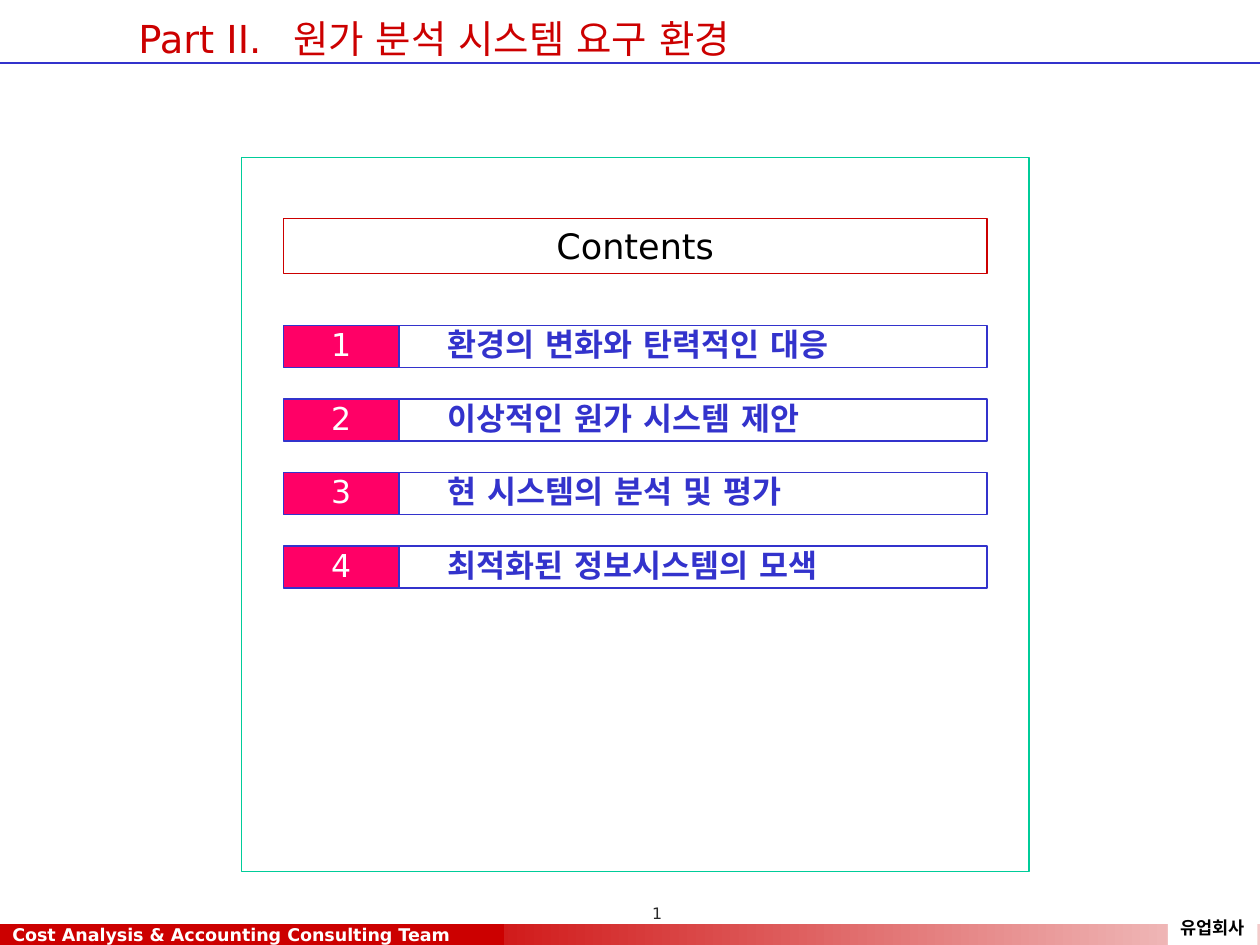
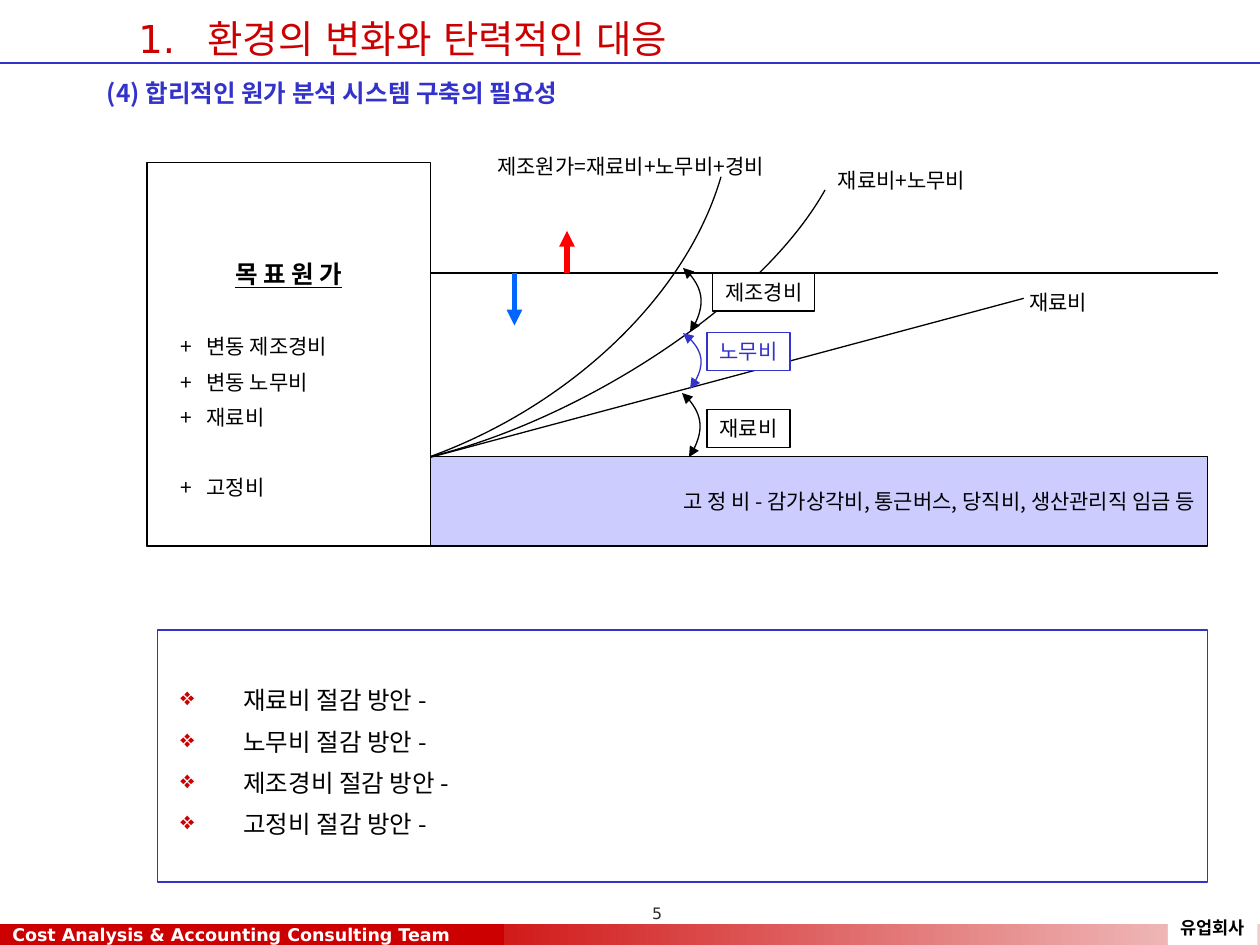
"""Build the contents slide and the target-cost slide of a cost analysis deck."""
from dataclasses import dataclass

from lxml.etree import SubElement
from pptx import Presentation
from pptx.dml.color import RGBColor
from pptx.enum.shapes import MSO_CONNECTOR as Connector, MSO_SHAPE as Preset
from pptx.enum.text import MSO_ANCHOR as Anchor, PP_ALIGN as Align
from pptx.oxml.ns import qn
from pptx.util import Pt


@dataclass(frozen=True)
class Theme:
    red: str = "CC0000"
    blush: str = "F3CBCB"
    blue: str = "3333CC"
    lilac: str = "CCCCFF"
    pink: str = "FF0066"
    green: str = "00CC99"
    sky: str = "0066FF"
    alert: str = "FF0000"
    black: str = "000000"
    white: str = "FFFFFF"
    grey: str = "292929"
    latin: str = "DejaVu Sans"
    korean: str = "Noto Sans CJK KR"
    title: int = 22
    banner: int = 20
    entry: int = 18
    heading: int = 14
    label: int = 12
    footer: int = 10
    number: int = 9
    hairline: float = 0.75


THEME = Theme()
WIDTH, HEIGHT = 720, 540

TEAM = "Cost Analysis & Accounting Consulting Team"
CLIENT = "유업회사"

CONTENTS = {
    "title": ("Part II.", "원가 분석 시스템 요구 환경", 88.5),
    "number": "1",
    "banner": "Contents",
    "entries": [
        "환경의 변화와 탄력적인 대응",
        "이상적인 원가 시스템 제안",
        "현 시스템의 분석 및 평가",
        "최적화된 정보시스템의 모색",
    ],
}

COSTS = {
    "title": ("1.", "환경의 변화와 탄력적인 대응", 39.5),
    "number": "5",
    "subtitle": "(4) 합리적인 원가 분석 시스템 구축의 필요성",
    "target": "목 표 원 가",
    "parts": [("변동 제조경비", 20), ("변동 노무비", 0), ("재료비", 0), ("고정비", 20)],
    "fixed": "고 정 비 - 감가상각비, 통근버스, 당직비, 생산관리직 임금 등",
    "measures": [f"{cost} 절감 방안 -" for cost in ("재료비", "노무비", "제조경비", "고정비")],
}

TOTAL_CURVE = [(245.7, 261), (323, 233), (391.5, 171.5), (412, 101)]
LABOUR_CURVE = [(245.7, 261), (331.5, 240), (434.5, 174.5), (471.5, 108.5)]
ARC = [(0, 0), (11.4, 8.6), (12.6, 25.1), (4, 36.6)]

LINE_LABELS = [
    ("제조원가=재료비+노무비+경비", (268.5, 84.2, 183.6, 21.6)),
    ("재료비", (581, 162, 47.5, 21.6)),
    ("재료비+노무비", (468.7, 92.2, 92.9, 21.6)),
]

SPANS = [
    ("재료비", (404, 234, 47.5, 21.6), (389.7, 224.6), 1, THEME.black),
    ("노무비", (404, 190, 47.5, 21.6), (390.3, 190.3), 0.87, THEME.blue),
    ("제조경비", (407.3, 156.2, 58.3, 21.6), (390.3, 153.1), 1, THEME.black),
]


def rgb(colour):
    return RGBColor.from_string(colour)


def add_box(page, place, fill=None, line=None, width=THEME.hairline, preset=Preset.RECTANGLE):
    box = page.shapes.add_shape(preset, *map(Pt, place))
    box.shadow.inherit = False
    if fill:
        box.fill.solid()
        box.fill.fore_color.rgb = rgb(fill)
    else:
        box.fill.background()
    if line:
        box.line.color.rgb = rgb(line)
        box.line.width = Pt(width)
    else:
        box.line.fill.background()
    return box


def add_label(page, place):
    return page.shapes.add_textbox(*map(Pt, place))


def set_frame(box, anchor=Anchor.TOP, left=7.2, right=7.2, wrap=True):
    frame = box.text_frame
    frame.word_wrap = wrap
    frame.vertical_anchor = anchor
    frame.margin_left, frame.margin_right = Pt(left), Pt(right)
    frame.margin_top = frame.margin_bottom = Pt(3.6)
    return frame


def set_tab(para, position):
    stops = SubElement(para._p.get_or_add_pPr(), qn("a:tabLst"))
    SubElement(stops, qn("a:tab"), pos=str(Pt(position)), algn="l")


def set_indent(para, indent):
    props = para._p.get_or_add_pPr()
    props.set("marL", str(Pt(indent)))
    props.set("indent", str(-Pt(indent)))


def set_bullet(para, mark, colour):
    props = para._p.get_or_add_pPr()
    SubElement(SubElement(props, qn("a:buClr")), qn("a:srgbClr"), val=colour)
    SubElement(props, qn("a:buChar"), char=mark)


def write(para, text, size, colour=THEME.black, face=THEME.korean, bold=False,
          align=Align.LEFT, spacing=None, underline=False):
    para.alignment = align
    if spacing:
        para.line_spacing = spacing
    span = para.add_run()
    span.text = text
    font = span.font
    font.size, font.bold, font.underline = Pt(size), bold, underline
    font.name = face
    font.color.rgb = rgb(colour)
    SubElement(span._r.get_or_add_rPr(), qn("a:ea"), typeface=face)


def fill_text(box, text, size, anchor=Anchor.TOP, left=7.2, right=7.2, wrap=True, **style):
    para = set_frame(box, anchor, left, right, wrap).paragraphs[0]
    write(para, text, size, **style)
    return para


def add_arrowheads(shape, *ends):
    line = shape.line._get_or_add_ln()
    for end in ends:
        SubElement(line, qn(f"a:{end}"), type="triangle")


def add_line(page, start, end, colour, width=THEME.hairline):
    line = page.shapes.add_connector(Connector.STRAIGHT, *map(Pt, start + end))
    line.line.color.rgb = rgb(colour)
    line.line.width = Pt(width)
    SubElement(line._element.spPr, qn("a:effectLst"))
    return line


def add_curve(page, points, colour):
    first, *others = [(Pt(x), Pt(y)) for x, y in points]
    builder = page.shapes.build_freeform(*first)
    builder.add_line_segments(others, close=False)
    curve = builder.convert_to_shape()
    segments = list(curve._element.iter(qn("a:lnTo")))
    outline = segments[0].getparent()
    bezier = SubElement(outline, qn("a:cubicBezTo"))
    for segment in segments:
        bezier.append(segment[0])
        outline.remove(segment)
    curve.shadow.inherit = False
    curve.fill.background()
    curve.line.color.rgb = rgb(colour)
    curve.line.width = Pt(THEME.hairline)
    return curve


def add_page(deck, content):
    page = deck.slides.add_slide(deck.slide_layouts[6])
    fade = add_box(page, (222, 528, 498, 12), THEME.red)
    fade.fill.gradient()
    fade.fill.gradient_angle = 180
    for stop, colour in zip(fade.fill.gradient_stops, (THEME.blush, THEME.red)):
        stop.color.rgb = rgb(colour)
    add_line(page, (0, 36), (WIDTH, 36), THEME.blue)
    fill_text(add_box(page, (0, 528, 288, 12), THEME.red), TEAM, THEME.footer, Anchor.MIDDLE,
              colour=THEME.white, face=THEME.latin, bold=True)
    fill_text(add_box(page, (667.4, 520.6, 51.1, 19.4), THEME.white), CLIENT, THEME.footer,
              wrap=False, bold=True, align=Align.CENTER)
    lead, name, stop = content["title"]
    title = set_frame(add_label(page, (72, 0, 558, 36)), Anchor.MIDDLE).paragraphs[0]
    set_tab(title, stop)
    write(title, f"{lead}\t{name}", THEME.title, THEME.red, THEME.latin, spacing=1.3)
    fill_text(add_label(page, (318, 512.6, 108, 18)), content["number"], THEME.number, right=0,
              colour=THEME.grey, face=THEME.latin, align=Align.CENTER)
    return page


def add_contents(deck):
    page = add_page(deck, CONTENTS)
    left, top, step, height, number_width, entry_width = 162, 186, 42, 24, 66, 336
    for index, entry in enumerate(CONTENTS["entries"]):
        row = top + index * step
        cells = [
            (left + number_width, entry_width, THEME.white, entry, THEME.blue, 28, Align.LEFT),
            (left, number_width, THEME.pink, str(index + 1), THEME.white, 7.2, Align.CENTER),
        ]
        for x, width, fill, text, colour, inset, align in cells:
            box = add_box(page, (x, row, width, height), fill, THEME.blue, 1,
                          Preset.ROUNDED_RECTANGLE)
            box.adjustments[0] = 0
            fill_text(box, text, THEME.entry, Anchor.MIDDLE, left=inset, colour=colour,
                      face=THEME.latin, bold=text == entry, align=align, spacing=0.9)
    fill_text(add_box(page, (left, 124.7, number_width + entry_width, 31.5), line=THEME.red),
              CONTENTS["banner"], THEME.banner, face=THEME.latin, align=Align.CENTER)
    add_box(page, (138, 90, 450, 408), line=THEME.green)


def add_measures(page):
    frame = set_frame(add_box(page, (90, 360, 600, 144), THEME.white, THEME.blue),
                      Anchor.MIDDLE, 13, 13)
    for index, measure in enumerate(COSTS["measures"]):
        para = frame.add_paragraph() if index else frame.paragraphs[0]
        set_indent(para, 36)
        set_bullet(para, "❖", THEME.red)
        write(para, measure, THEME.heading, align=Align.JUSTIFY, spacing=1.4)


def add_target(page):
    frame = set_frame(add_label(page, (96, 138, 138, 172)))
    write(frame.paragraphs[0], COSTS["target"], THEME.heading, bold=True, underline=True,
          align=Align.CENTER, spacing=1.4)
    for part, gap in COSTS["parts"]:
        para = frame.add_paragraph()
        set_tab(para, 15)
        para.space_before = Pt(gap)
        write(para, f"+\t{part}", THEME.label, spacing=1.4)


def add_costs(deck):
    page = add_page(deck, COSTS)
    subtitle = fill_text(add_label(page, (54, 36, 594, 24)), COSTS["subtitle"], THEME.heading,
                         colour=THEME.blue, bold=True, spacing=1.3)
    set_indent(subtitle, 27)
    add_measures(page)
    fill_text(add_box(page, (84, 261, 606, 51), THEME.lilac, THEME.black), COSTS["fixed"],
              THEME.label, Anchor.MIDDLE, align=Align.RIGHT)
    target_level = 156
    add_curve(page, TOTAL_CURVE, THEME.black)
    add_line(page, (90, target_level), (696, target_level), THEME.black)
    add_line(page, (243.5, 262), (585, 170.5), THEME.black)
    add_curve(page, LABOUR_CURVE, THEME.black)
    add_box(page, (84, 93, 162, 219), THEME.white, THEME.black)
    for text, place in LINE_LABELS:
        fill_text(add_label(page, place), text, THEME.label, wrap=False, align=Align.CENTER)
    for text, place, (x, y), stretch, colour in SPANS:
        arc = add_curve(page, [(x + dx, y + dy * stretch) for dx, dy in ARC], colour)
        add_arrowheads(arc, "headEnd", "tailEnd")
        fill_text(add_box(page, place, THEME.white, colour), text, THEME.label, wrap=False,
                  colour=colour, align=Align.CENTER)
    add_target(page)
    for x, tip, colour in ((294, 186, THEME.sky), (324, 132, THEME.alert)):
        add_arrowheads(add_line(page, (x, target_level), (x, tip), colour, 3), "tailEnd")


def main():
    deck = Presentation()
    deck.slide_width, deck.slide_height = Pt(WIDTH), Pt(HEIGHT)
    add_contents(deck)
    add_costs(deck)
    deck.save("out.pptx")


if __name__ == "__main__":
    main()
